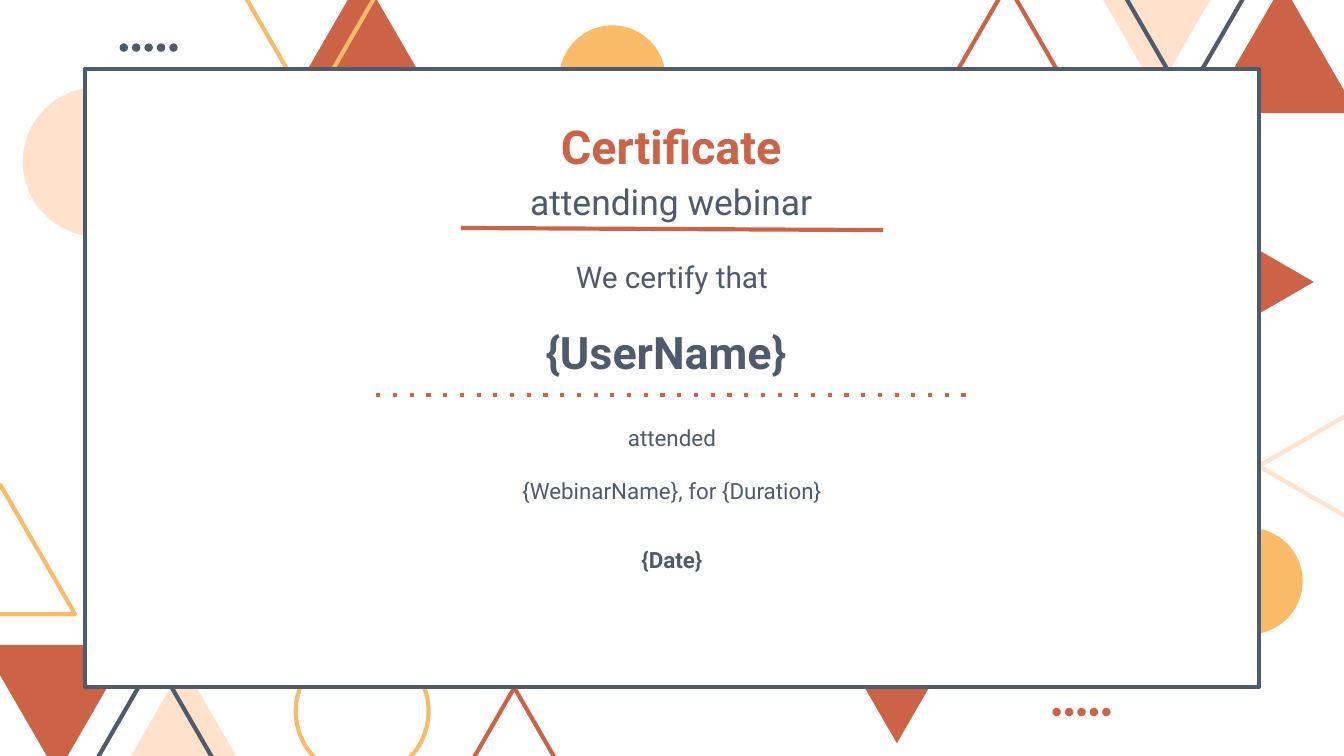
from lxml import etree
from pptx import Presentation
from pptx import util as u
from pptx.dml.color import RGBColor
from pptx.enum import shapes, text
from pptx.oxml.ns import qn

RED, PEACH, AMBER, SLATE, WHITE = "CD6346", "FFE1CC", "FABB69", "4E5B6D", "FFFFFF"
TRIANGLE = shapes.MSO_SHAPE.ISOSCELES_TRIANGLE
CIRCLE = shapes.MSO_SHAPE.OVAL


def colour(value):
    return RGBColor.from_string(value)


class Certificate:
    font = "Roboto"
    line_width = u.Pt(2.25)
    inset = u.Cm(0.25)

    def __init__(self, slide):
        self.slide = slide

    def shape(self, kind, left, top, width, height, fill=None, line=None, rotation=0):
        shape = self.slide.shapes.add_shape(
            kind, u.Cm(left), u.Cm(top), u.Cm(width), u.Cm(height))
        shape.shadow.inherit = False
        shape.rotation = rotation
        if fill:
            shape.fill.solid()
            shape.fill.fore_color.rgb = colour(fill)
        else:
            shape.fill.background()
        if line:
            shape.line.color.rgb = colour(line)
            shape.line.width = self.line_width
        else:
            shape.line.fill.background()

    def dots(self, left, top, fill):
        for index in range(5):
            self.shape(CIRCLE, left + index * 0.235, top, 0.16, 0.16, fill)

    def line(self, start, end, dash=None):
        connector = self.slide.shapes.add_connector(
            shapes.MSO_CONNECTOR.STRAIGHT, *(u.Cm(value) for value in start + end))
        connector.line.color.rgb = colour(RED)
        connector.line.width = self.line_width
        properties = connector._element.spPr
        if dash:
            outline = properties.find(qn("a:ln"))
            etree.SubElement(outline, qn("a:prstDash")).set("val", dash)
        etree.SubElement(properties, qn("a:effectLst"))

    def text(self, left, top, width, height, lines, spacing=1.0, gap=0,
             anchor=text.MSO_ANCHOR.MIDDLE):
        """Each line is (wording, size, colour, bold)."""
        box = self.slide.shapes.add_textbox(
            u.Cm(left), u.Cm(top), u.Cm(width), u.Cm(height))
        frame = box.text_frame
        frame.word_wrap = True
        frame.vertical_anchor = anchor
        frame.margin_left = frame.margin_right = self.inset
        frame.margin_top = frame.margin_bottom = self.inset
        for index, (wording, size, ink, bold) in enumerate(lines):
            paragraph = frame.add_paragraph() if index else frame.paragraphs[0]
            paragraph.text = wording
            paragraph.alignment = text.PP_ALIGN.CENTER
            paragraph.line_spacing = spacing
            if index and gap:
                paragraph.space_before = u.Pt(gap)
            paragraph.font.name = self.font
            paragraph.font.size = u.Pt(size)
            paragraph.font.bold = bold
            paragraph.font.color.rgb = colour(ink)


def main():
    presentation = Presentation()
    presentation.slide_width, presentation.slide_height = u.Cm(25.4), u.Cm(14.29)
    certificate = Certificate(
        presentation.slides.add_slide(presentation.slide_layouts[6]))

    # Triangles round the edge: left, top, fill, line, rotation
    triangles = [
        (15.54, 11.61, RED, None, 180),
        (2.06, 12.57, PEACH, None, 0),
        (1.52, 12.45, None, SLATE, 0),
        (-0.33, 12.19, RED, None, 180),
        (8.31, 13.0, None, RED, 0),
        (22.2, 4.11, RED, None, 90),
        (23.6, 7.59, None, PEACH, 270),
        (17.63, -0.3, None, RED, 0),
        (20.45, -0.69, PEACH, None, 180),
        (20.98, -0.56, None, SLATE, 180),
        (22.83, -0.3, RED, None, 0),
        (5.44, -0.48, RED, None, 0),
        (4.45, -0.38, None, AMBER, 180),
        (-1.4, 9.17, None, AMBER, 0),
    ]
    for left, top, fill, line, rotation in triangles:
        certificate.shape(TRIANGLE, left, top, 2.82, 2.44, fill, line, rotation)

    # Circles: left, top, diameter, fill, line
    circles = [
        (5.59, 12.19, 2.51, None, AMBER),
        (22.61, 9.98, 2.01, AMBER, None),
        (10.57, 0.48, 2.01, AMBER, None),
        (0.43, 1.65, 2.82, PEACH, None),
    ]
    for left, top, diameter, fill, line in circles:
        certificate.shape(CIRCLE, left, top, diameter, diameter, fill, line)

    # Rows of dots
    certificate.dots(2.26, 0.82, SLATE)
    certificate.dots(19.89, 13.38, RED)

    # Panel
    certificate.shape(shapes.MSO_SHAPE.RECTANGLE, 1.6, 1.3, 22.2, 11.68, WHITE, SLATE)

    # Heading
    certificate.text(8.71, 2.08, 7.95, 2.11, [
        ("Certificate", 25, RED, True),
        ("attending webinar", 19, SLATE, False),
    ], spacing=1.15)
    certificate.line((8.71, 4.31), (16.69, 4.35))

    # Recipient
    certificate.text(4.24, 4.72, 16.92, 1.02, [("We certify that", 16, SLATE, False)])
    certificate.text(4.13, 5.89, 16.92, 1.6, [("{UserName}", 24, SLATE, True)],
                     anchor=text.MSO_ANCHOR.TOP)
    certificate.line((7.11, 7.47), (18.29, 7.47), dash="dot")

    # Webinar and date
    certificate.text(4.24, 8.26, 16.92, 1.02, [
        ("attended", 12, SLATE, False),
        ("{WebinarName}, for {Duration}", 12, SLATE, False),
    ], gap=14)
    certificate.text(4.24, 9.96, 16.92, 1.22, [("{Date}", 12, SLATE, True)])

    presentation.save("out.pptx")


if __name__ == "__main__":
    main()
